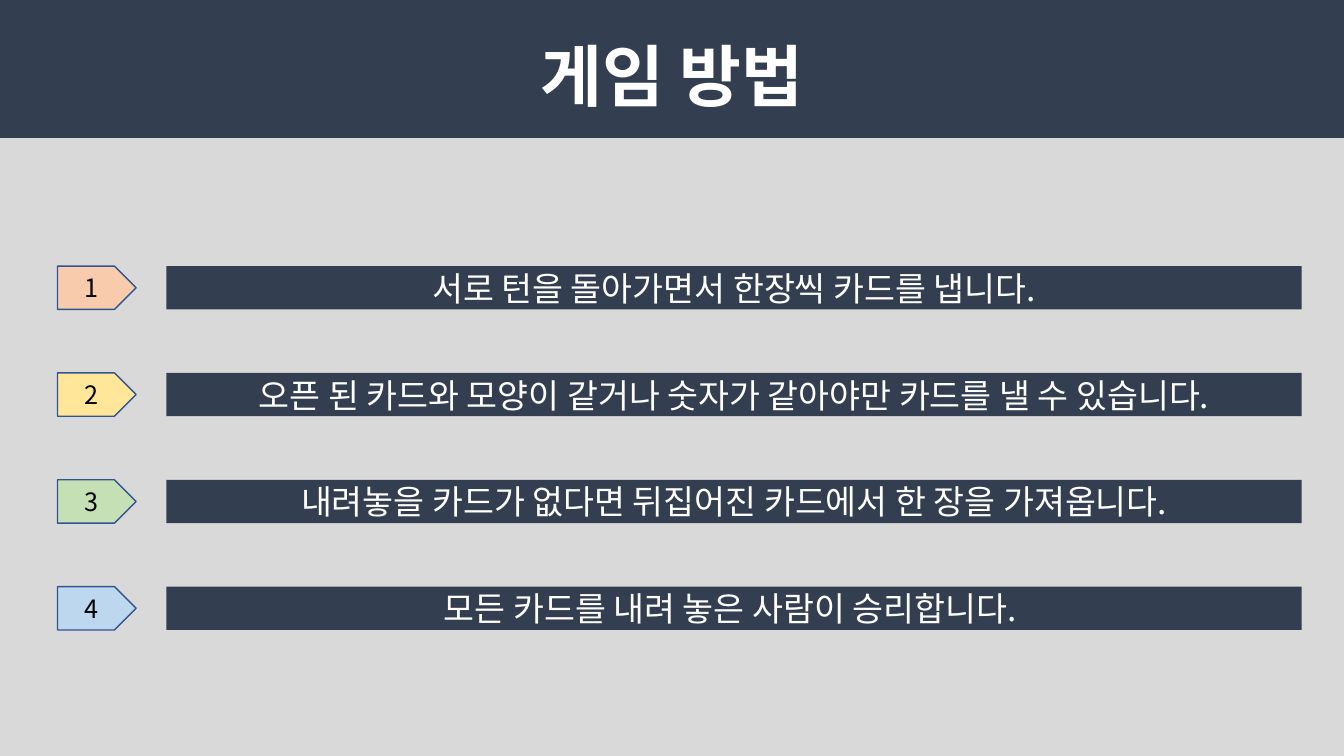
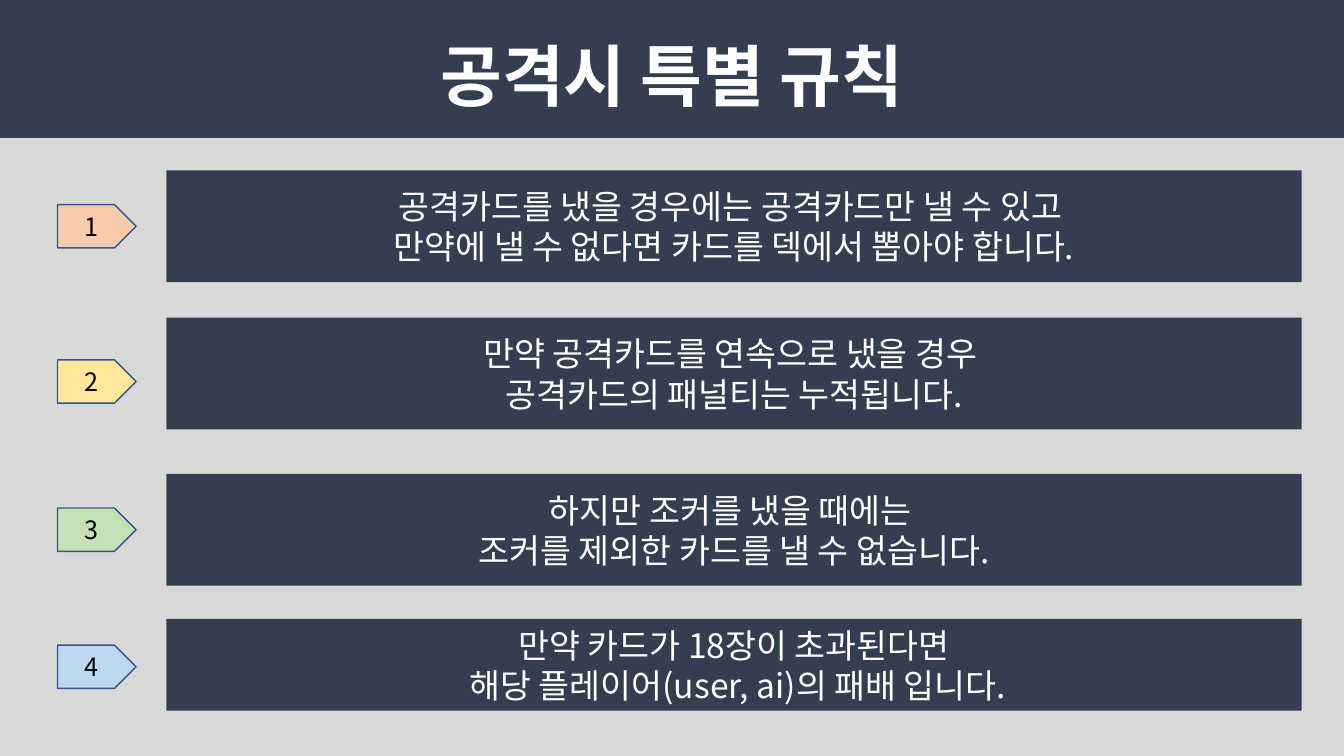
"""Build two slides of numbered card game rules under a shared title band."""
import lxml.etree
import pptx
import pptx.dml.color
import pptx.enum.shapes
import pptx.enum.text
import pptx.oxml.ns
import pptx.util

RGBColor = pptx.dml.color.RGBColor
Shape = pptx.enum.shapes.MSO_SHAPE
Anchor = pptx.enum.text.MSO_ANCHOR

FONT = "Noto Sans CJK KR"
NAVY = RGBColor(0x33, 0x3F, 0x50)
GREY = RGBColor(0xD9, 0xD9, 0xD9)
WHITE = RGBColor(0xFF, 0xFF, 0xFF)
BLACK = RGBColor(0x00, 0x00, 0x00)
OUTLINE = RGBColor(0x32, 0x54, 0x91)
TAG_COLOURS = [
    RGBColor(0xF8, 0xCB, 0xAD),
    RGBColor(0xFF, 0xE6, 0x99),
    RGBColor(0xC5, 0xE0, 0xB4),
    RGBColor(0xBD, 0xD7, 0xEE),
]

SLIDE_WIDTH, SLIDE_HEIGHT = 13.33, 7.5
BAND_HEIGHT = 1.37
TAG_LEFT, TAG_WIDTH, TAG_HEIGHT = 0.57, 0.78, 0.43
BAR_LEFT, BAR_WIDTH = 1.65, 11.26
FIRST_ROW, ROW_PITCH = 2.64, 1.06

PLAY_STEPS = [
    "서로 턴을 돌아가면서 한장씩 카드를 냅니다.",
    "오픈 된 카드와 모양이 같거나 숫자가 같아야만 카드를 낼 수 있습니다.",
    "내려놓을 카드가 없다면 뒤집어진 카드에서 한 장을 가져옵니다.",
    "모든 카드를 내려 놓은 사람이 승리합니다. ",
]
PLAY_ROWS = [
    (FIRST_ROW + index * ROW_PITCH, TAG_HEIGHT, FIRST_ROW + index * ROW_PITCH, text)
    for index, text in enumerate(PLAY_STEPS)
]
ATTACK_ROWS = [
    (1.69, 1.11, 2.03, "공격카드를 냈을 경우에는 공격카드만 낼 수 있고 \n만약에 낼 수 없다면 카드를 덱에서 뽑아야 합니다."),
    (3.15, 1.11, 3.57, "만약 공격카드를 연속으로 냈을 경우 \n공격카드의 패널티는 누적됩니다."),
    (4.70, 1.11, 5.04, "하지만 조커를 냈을 때에는 \n조커를 제외한 카드를 낼 수 없습니다."),
    (6.14, 0.91, 6.40, "만약 카드가 18장이 초과된다면\n 해당 플레이어(user, ai)의 패배 입니다."),
]


def place(shape, left, top, width, height):
    """Set the position and size of a shape in inches."""
    shape.left, shape.top = pptx.util.Inches(left), pptx.util.Inches(top)
    shape.width, shape.height = pptx.util.Inches(width), pptx.util.Inches(height)


def write_text(shape, text, size, colour=WHITE, bold=False, anchor=Anchor.MIDDLE):
    """Write centred text into a shape, one paragraph per line."""
    frame = shape.text_frame
    frame.text = text
    frame.word_wrap = True
    frame.auto_size = pptx.enum.text.MSO_AUTO_SIZE.NONE
    frame.vertical_anchor = anchor
    for paragraph in frame.paragraphs:
        paragraph.alignment = pptx.enum.text.PP_ALIGN.CENTER
        for run in paragraph.runs:
            run.font.size = pptx.util.Pt(size)
            run.font.bold = bold
            run.font.color.rgb = colour
            run.font.name = FONT
            properties = run._r.get_or_add_rPr()
            lxml.etree.SubElement(properties, pptx.oxml.ns.qn("a:ea"), typeface=FONT)


def add_block(slide, kind, left, top, width, height, fill, line=None):
    """Add a filled shape without shadow and with an optional outline."""
    bounds = [pptx.util.Inches(length) for length in (left, top, width, height)]
    shape = slide.shapes.add_shape(kind, *bounds)
    shape.shadow.inherit = False
    shape.fill.solid()
    shape.fill.fore_color.rgb = fill
    if line is None:
        shape.line.fill.background()
    else:
        shape.line.color.rgb = line
        shape.line.width = pptx.util.Pt(1)
    return shape


def prepare_layout(layout, slide):
    """Place the title of the layout and move the two background bands into it."""
    place(layout.placeholders[0], 0, 0.29, SLIDE_WIDTH, 0.91)
    bands = [
        (0, BAND_HEIGHT, NAVY),
        (BAND_HEIGHT, SLIDE_HEIGHT - BAND_HEIGHT, GREY),
    ]
    for index, (top, height, fill) in enumerate(bands):
        band = add_block(slide, Shape.RECTANGLE, 0, top, SLIDE_WIDTH, height, fill)
        band.element.nvSpPr.cNvPr.set("id", str(100 + index))
        layout.shapes.element.insert(2 + index, band.element)


def add_rules(slide, title, rows):
    """Fill a slide with its title and numbered rule bars."""
    write_text(slide.shapes.title, title, 48, bold=True, anchor=Anchor.TOP)
    for number, (row, colour) in enumerate(zip(rows, TAG_COLOURS), start=1):
        bar_top, bar_height, tag_top, text = row
        bar = add_block(slide, Shape.RECTANGLE, BAR_LEFT, bar_top, BAR_WIDTH, bar_height, NAVY)
        write_text(bar, text, 24)
        tag = add_block(slide, Shape.PENTAGON, TAG_LEFT, tag_top, TAG_WIDTH, TAG_HEIGHT, colour, OUTLINE)
        write_text(tag, str(number), 18, colour=BLACK)


def main():
    """Create the presentation and save it."""
    presentation = pptx.Presentation()
    presentation.slide_width = pptx.util.Inches(SLIDE_WIDTH)
    presentation.slide_height = pptx.util.Inches(SLIDE_HEIGHT)
    layout = presentation.slide_layouts.get_by_name("Title Only")
    play_slide = presentation.slides.add_slide(layout)
    attack_slide = presentation.slides.add_slide(layout)
    prepare_layout(layout, play_slide)
    add_rules(play_slide, "게임 방법", PLAY_ROWS)
    add_rules(attack_slide, "공격시 특별 규칙", ATTACK_ROWS)
    presentation.save("out.pptx")


if __name__ == "__main__":
    main()
